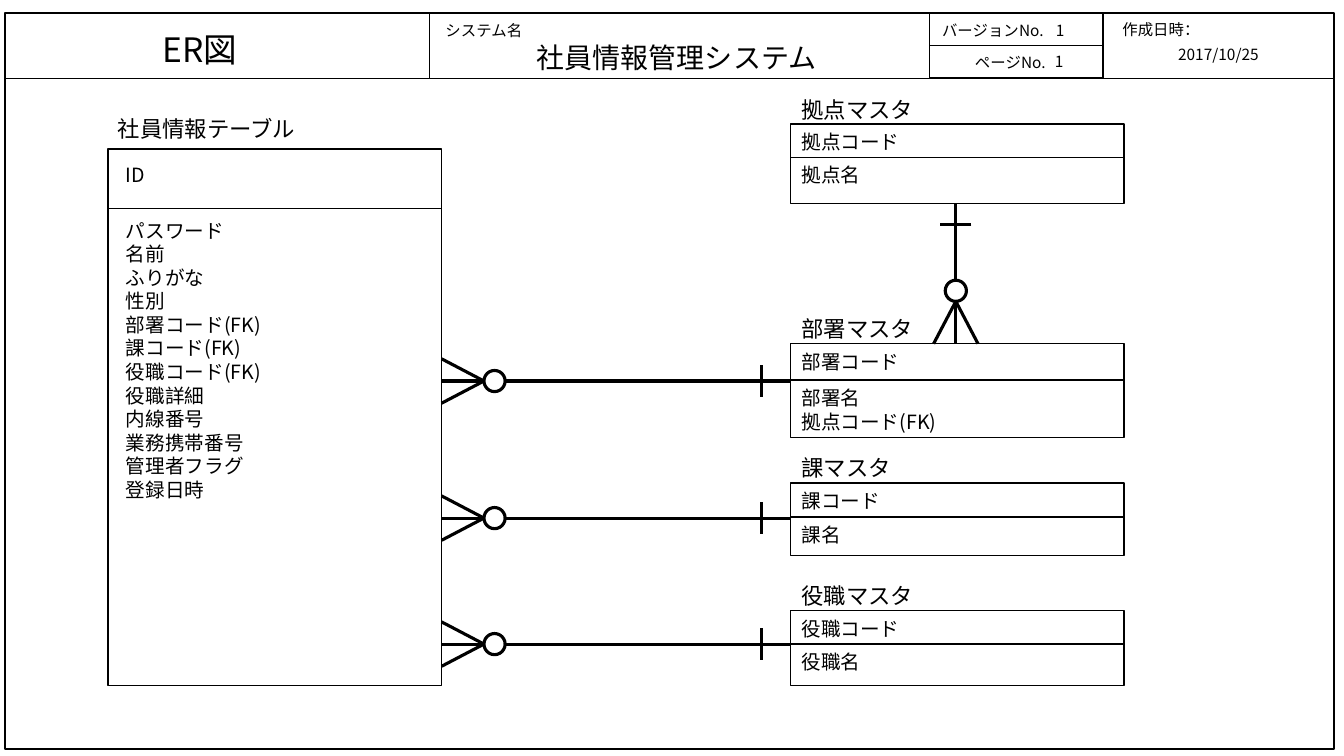
from dataclasses import dataclass
from lxml import etree
from pptx import Presentation, util as u
from pptx.dml.color import RGBColor
from pptx.enum import shapes, text
from pptx.oxml import ns


@dataclass
class Theme:
    font: str = "Noto Sans CJK JP"
    ink: RGBColor = RGBColor(0, 0, 0)
    paper: RGBColor = RGBColor(255, 255, 255)
    title: int = 24
    system: int = 20
    entity: int = 16
    field: int = 14
    note: int = 11
    leading: float = 1.2
    thin: float = 1
    thick: float = 2.25


theme = Theme()
CELL = u.Inches(0.1)
COLUMNS, ROWS = 133.3, 75
LEFT, CENTER, RIGHT = text.PP_ALIGN.LEFT, text.PP_ALIGN.CENTER, text.PP_ALIGN.RIGHT
RECT, OVAL = shapes.MSO_SHAPE.RECTANGLE, shapes.MSO_SHAPE.OVAL

deck = Presentation()
deck.slide_width, deck.slide_height = int(COLUMNS * CELL), int(ROWS * CELL)
page = deck.slides.add_slide(deck.slide_layouts[6])


def grid(*cells):
    return [round(cell * CELL) for cell in cells]


def draw(kind, cells, weight):
    if kind == "line":
        item = page.shapes.add_connector(shapes.MSO_CONNECTOR.STRAIGHT, *grid(*cells))
        etree.SubElement(item._element.spPr, ns.qn("a:effectLst"))
    else:
        item = page.shapes.add_shape(kind, *grid(*cells))
        item.shadow.inherit = False
        item.fill.solid()
        item.fill.fore_color.rgb = theme.paper
    item.line.color.rgb = theme.ink
    item.line.width = u.Pt(weight)


frames = [
    (0.5, 7.8, 131.8, 66.5),
    (0.5, 1.3, 42.1, 6.5),
    (42.6, 1.3, 49.6, 6.5),
    (92.2, 1.3, 17.2, 3.2),
    (92.2, 4.5, 17.2, 3.2),
    (109.4, 1.3, 22.9, 6.5),
]
for frame in frames:
    draw(RECT, frame, theme.thin)

labels = [
    ("ER図", (5.4, 2.4, 28.9, 4.9), theme.title, CENTER),
    ("システム名", (41.8, 1.6, 12.4, 3.3), theme.note, CENTER),
    ("社員情報管理システム", (40.2, 3.6, 53.8, 4.1), theme.system, CENTER),
    ("バージョンNo.", (89.4, 1.6, 15.1, 2.9), theme.note, RIGHT),
    ("1", (103.4, 1.6, 3.5, 3), theme.note, CENTER),
    ("ページNo.", (92.2, 4.8, 12.5, 2.7), theme.note, RIGHT),
    ("1", (103.3, 4.7, 3.5, 3), theme.note, CENTER),
    ("作成日時：", (108.5, 1.5, 13.3, 2.4), theme.note, CENTER),
    ("2017/10/25", (110.6, 4, 20.5, 2.3), theme.note, CENTER),
]

staff_fields = """パスワード
名前
ふりがな
性別
部署コード(FK)
課コード(FK)
役職コード(FK)
役職詳細
内線番号
業務携帯番号
管理者フラグ
登録日時"""
ENTITY_WIDTH, TEXT_WIDTH = 33.1, 29.1
STAFF_LEFT, MASTER_LEFT = 10.7, 78.4
staff_gaps, master_gaps = (0.8, 3.9, 0.9, 0.5), (0.1, 3.3, 0.1, 0.1)
entities = [
    ("社員情報テーブル", "ID", staff_fields, STAFF_LEFT, (14.8, 20.7, 68), staff_gaps),
    ("拠点マスタ", "拠点コード", "拠点名", MASTER_LEFT, (12.3, 15.6, 20.2), master_gaps),
    ("部署マスタ", "部署コード", "部署名\n拠点コード(FK)", MASTER_LEFT, (34.1, 37.7, 43.4), master_gaps),
    ("課マスタ", "課コード", "課名", MASTER_LEFT, (47.9, 51.3, 55.1), master_gaps),
    ("役職マスタ", "役職コード", "役職名", MASTER_LEFT, (60.6, 63.9, 68), master_gaps),
]
for name, key, fields, left, (top, split, bottom), gaps in entities:
    inset, name_gap, key_gap, field_gap = gaps
    draw(RECT, (left, top, ENTITY_WIDTH, bottom - top), theme.thin)
    draw("line", (left, split, left + ENTITY_WIDTH, split), theme.thin)
    name_left = left if left == STAFF_LEFT else left + inset
    field_top = split + field_gap
    labels += [
        (name, (name_left, top - name_gap, TEXT_WIDTH, 4.7), theme.entity, LEFT),
        (key, (left + inset, top + key_gap, TEXT_WIDTH, split - top - key_gap), theme.field, LEFT),
        (fields, (left + inset, field_top, TEXT_WIDTH, bottom - field_top), theme.field, LEFT),
    ]

FOOT, SPREAD, RING, BAR = 4.2, 2.2, 2.1, 1.55
STAFF_EDGE = STAFF_LEFT + ENTITY_WIDTH
links = [
    (STAFF_EDGE, 37.8, 1, 0, 34.6, 31.7),
    (STAFF_EDGE, 51.4, 1, 0, 34.6, 31.7),
    (STAFF_EDGE, 63.9, 1, 0, 34.6, 31.7),
    (94.8, 34.1, 0, -1, 14, 11.8),
]
for x, y, across, down, length, bar in links:
    strokes = [
        (0, 0, length, 0),
        (0, -SPREAD, FOOT, 0),
        (FOOT, 0, 0, SPREAD),
        (bar, -BAR, bar, BAR),
    ]
    for a, b, c, d in strokes:
        ends = (x + a * across + b * down, y + a * down + b * across,
                x + c * across + d * down, y + c * down + d * across)
        draw("line", ends, theme.thick)
    middle = FOOT + RING / 2
    ring = (x + middle * across - RING / 2, y + middle * down - RING / 2, RING, RING)
    draw(OVAL, ring, theme.thick)

for wording, cells, size, align in labels:
    box = page.shapes.add_textbox(*grid(*cells))
    frame = box.text_frame
    frame.word_wrap = True
    frame.text = wording
    if size == theme.system:
        frame.vertical_anchor = text.MSO_ANCHOR.MIDDLE
    for para in frame.paragraphs:
        para.alignment = align
        para.line_spacing = u.Pt(size * theme.leading)
        para.font.name = theme.font
        para.font.size = u.Pt(size)
        para.font.color.rgb = theme.ink
        east = etree.SubElement(para.font._element, ns.qn("a:ea"))
        east.set("typeface", theme.font)

deck.save("out.pptx")
